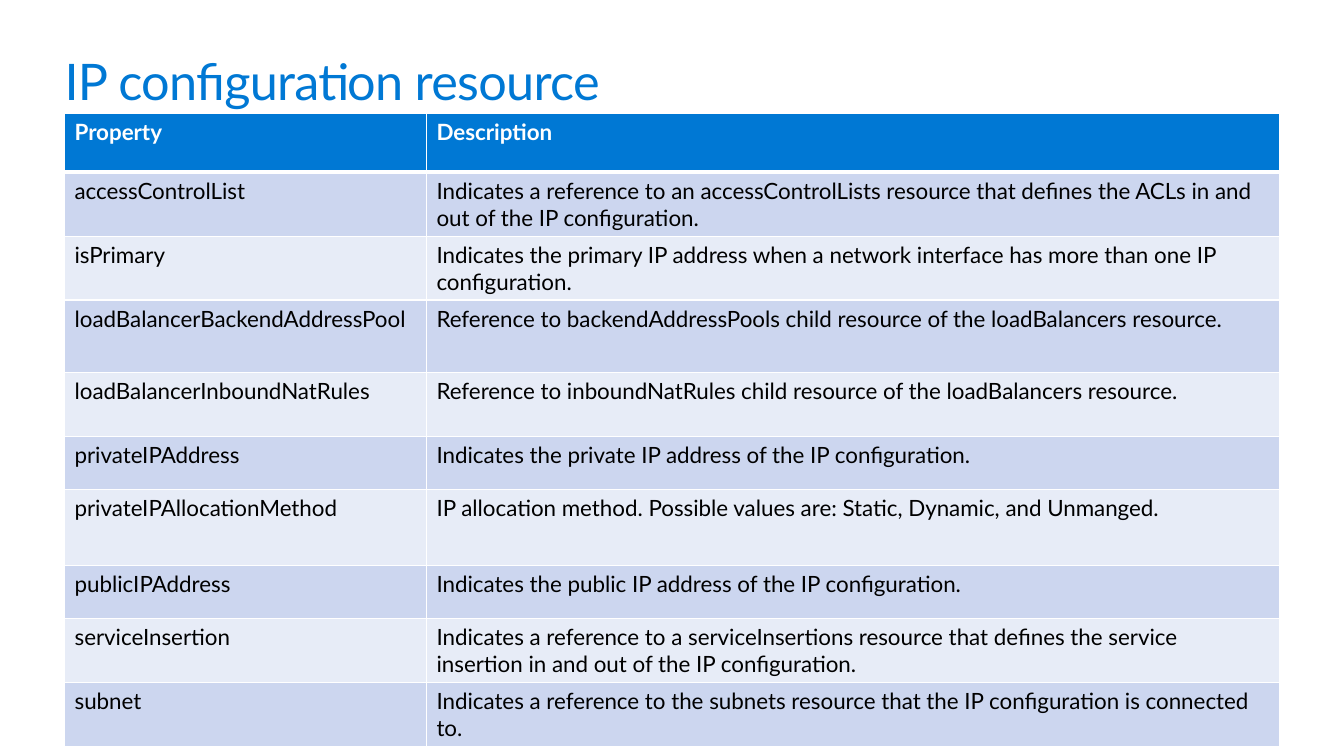
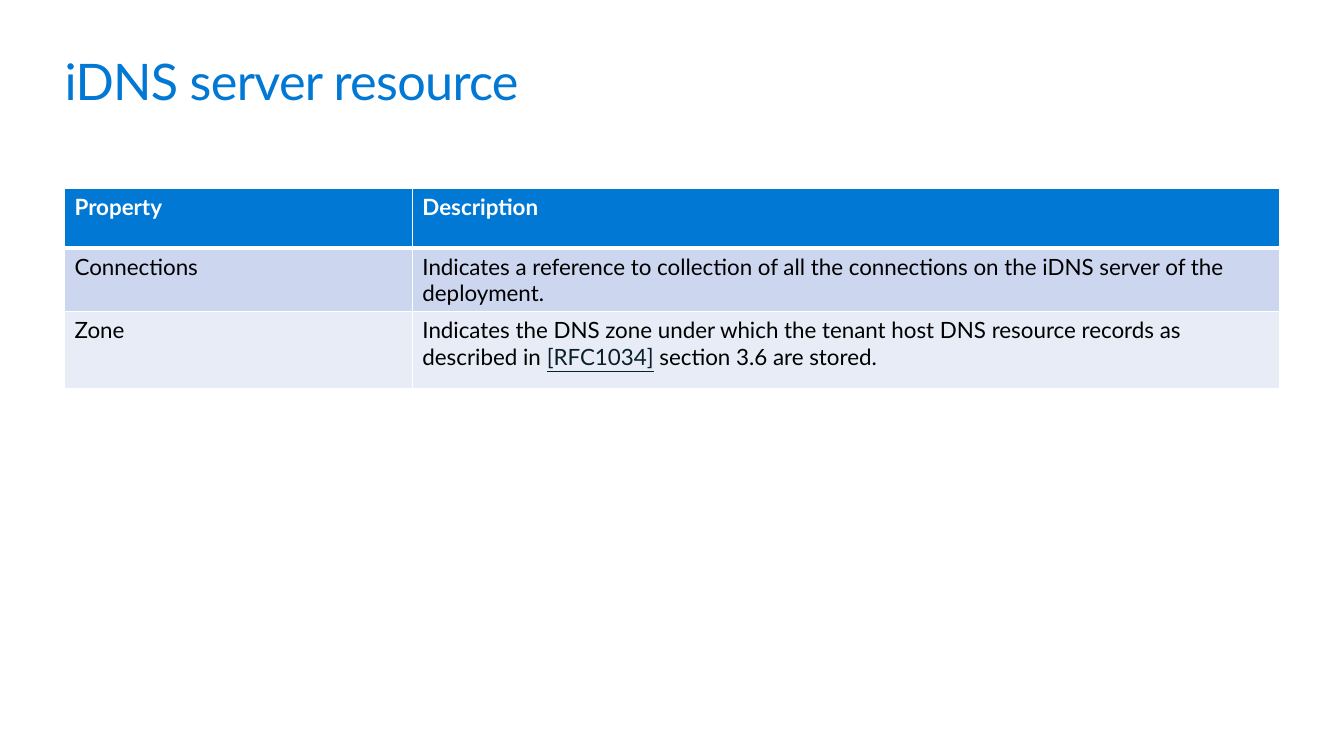
from dataclasses import dataclass

from lxml.etree import SubElement
from pptx import Presentation
from pptx.dml.color import RGBColor
from pptx.enum.text import MSO_ANCHOR, MSO_AUTO_SIZE, PP_ALIGN
from pptx.oxml.ns import qn
from pptx.presentation import Presentation as Deck
from pptx.slide import Slide
from pptx.table import Table, _Cell
from pptx.text.text import Font
from pptx.util import Inches, Pt


@dataclass(frozen=True)
class Theme:
    font: str = "Lato"
    title_size: int = 36
    table_size: int = 16
    title_spacing: str = "-50"
    accent: str = "0078D4"
    white: str = "FFFFFF"
    text: str = "000000"
    reference: str = "091F2C"
    bands: tuple[str, str] = ("CCD6EF", "E7ECF7")
    rule_width: float = 1
    header_rule_width: float = 3


@dataclass(frozen=True)
class Property:
    name: str
    description: str
    height: float
    reference: str = ""
    remainder: str = ""


@dataclass(frozen=True)
class Resource:
    title: str
    table_top: float
    name_width: float
    header_height: float
    properties: tuple[Property, ...]


THEME = Theme()
MARGIN = 0.64
CONTENT_WIDTH = 12.05
TITLE_TOP = 0.5
TITLE_HEIGHT = 0.61

RESOURCES = (
    Resource("IP configuration resource", 1.13, 3.59, 0.58, (
        Property("accessControlList",
                 "Indicates a reference to an accessControlLists resource that defines "
                 "the ACLs in and out of the IP configuration.", 0.53),
        Property("isPrimary",
                 "Indicates the primary IP address when a network interface has more "
                 "than one IP configuration.", 0.49),
        Property("loadBalancerBackendAddressPool",
                 "Reference to backendAddressPools child resource of the "
                 "loadBalancers resource.", 0.72),
        Property("loadBalancerInboundNatRules",
                 "Reference to inboundNatRules child resource of the "
                 "loadBalancers resource.", 0.63),
        Property("privateIPAddress",
                 "Indicates the private IP address of the IP configuration.", 0.53),
        Property("privateIPAllocationMethod",
                 "IP allocation method. Possible values are: Static, Dynamic, "
                 "and Unmanged.", 0.75),
        Property("publicIPAddress",
                 "Indicates the public IP address of the IP configuration.", 0.53),
        Property("serviceInsertion",
                 "Indicates a reference to a serviceInsertions resource that defines "
                 "the service insertion in and out of the IP configuration.", 0.53),
        Property("subnet",
                 "Indicates a reference to the subnets resource that the "
                 "IP configuration is connected to.", 0.53),
    )),
    Resource("iDNS server resource", 1.87, 3.45, 0.59, (
        Property("Connections",
                 "Indicates a reference to collection of all the connections on the "
                 "iDNS server of the deployment.", 0.53),
        Property("Zone",
                 "Indicates the DNS zone under which the tenant host DNS resource "
                 "records as described in ", 0.76,
                 "[RFC1034]", " section 3.6 are stored."),
    )),
)


def style_font(font: Font, size: int, color: str, bold: bool = False) -> None:
    font.name = THEME.font
    font.size = Pt(size)
    font.bold = bold
    font.color.rgb = RGBColor.from_string(color)


def add_title(slide: Slide, text: str) -> None:
    title = slide.shapes.title
    title.left, title.top = Inches(MARGIN), Inches(TITLE_TOP)
    title.width, title.height = Inches(CONTENT_WIDTH), Inches(TITLE_HEIGHT)
    frame = title.text_frame
    frame.margin_left = frame.margin_right = frame.margin_top = frame.margin_bottom = 0
    frame.vertical_anchor = MSO_ANCHOR.TOP
    frame.word_wrap = True
    frame.auto_size = MSO_AUTO_SIZE.SHAPE_TO_FIT_TEXT
    para = frame.paragraphs[0]
    para.alignment = PP_ALIGN.LEFT
    style_font(para.font, THEME.title_size, THEME.accent)
    span = para.add_run()
    span.text = text
    span._r.get_or_add_rPr().set("spc", THEME.title_spacing)


def set_borders(cell: _Cell, top: float, bottom: float) -> None:
    properties = cell._tc.get_or_add_tcPr()
    widths = {"a:lnL": THEME.rule_width, "a:lnR": THEME.rule_width,
              "a:lnT": top, "a:lnB": bottom}
    for tag, width in widths.items():
        line = SubElement(properties, qn(tag), w=str(Pt(width)))
        fill = SubElement(line, qn("a:solidFill"))
        SubElement(fill, qn("a:srgbClr"), val=THEME.white)


def style_row(table: Table, index: int) -> None:
    """Give a row its fill, rules and font; row 0 is the header."""
    header = index == 0
    fill = THEME.accent if header else THEME.bands[(index - 1) % 2]
    top = THEME.header_rule_width if index == 1 else THEME.rule_width
    bottom = THEME.header_rule_width if header else THEME.rule_width
    for cell in table.rows[index].cells:
        set_borders(cell, top, bottom)
        cell.fill.solid()
        cell.fill.fore_color.rgb = RGBColor.from_string(fill)
        style_font(cell.text_frame.paragraphs[0].font, THEME.table_size,
                   THEME.white if header else THEME.text, bold=header)


def write_description(cell: _Cell, item: Property) -> None:
    para = cell.text_frame.paragraphs[0]
    para.add_run().text = item.description
    if item.reference:
        span = para.add_run()
        span.text = item.reference
        span.font.underline = True
        span.font.color.rgb = RGBColor.from_string(THEME.reference)
        para.add_run().text = item.remainder


def add_property_table(slide: Slide, resource: Resource) -> None:
    heights = [resource.header_height] + [item.height for item in resource.properties]
    table = slide.shapes.add_table(
        len(heights), 2, Inches(MARGIN), Inches(resource.table_top),
        Inches(CONTENT_WIDTH), Inches(sum(heights))).table
    table.columns[0].width = Inches(resource.name_width)
    table.columns[1].width = Inches(CONTENT_WIDTH - resource.name_width)
    table.cell(0, 0).text = "Property"
    table.cell(0, 1).text = "Description"
    for index, item in enumerate(resource.properties, start=1):
        table.cell(index, 0).text = item.name
        write_description(table.cell(index, 1), item)
    for index, height in enumerate(heights):
        table.rows[index].height = Inches(height)
        style_row(table, index)


def add_resource_slide(deck: Deck, resource: Resource) -> None:
    title_only = deck.slide_layouts.get_by_name("Title Only")
    slide = deck.slides.add_slide(title_only)
    add_title(slide, resource.title)
    add_property_table(slide, resource)


def main() -> None:
    deck = Presentation()
    deck.slide_width, deck.slide_height = Inches(13.33), Inches(7.5)
    for resource in RESOURCES:
        add_resource_slide(deck, resource)
    deck.save("out.pptx")


if __name__ == "__main__":
    main()
